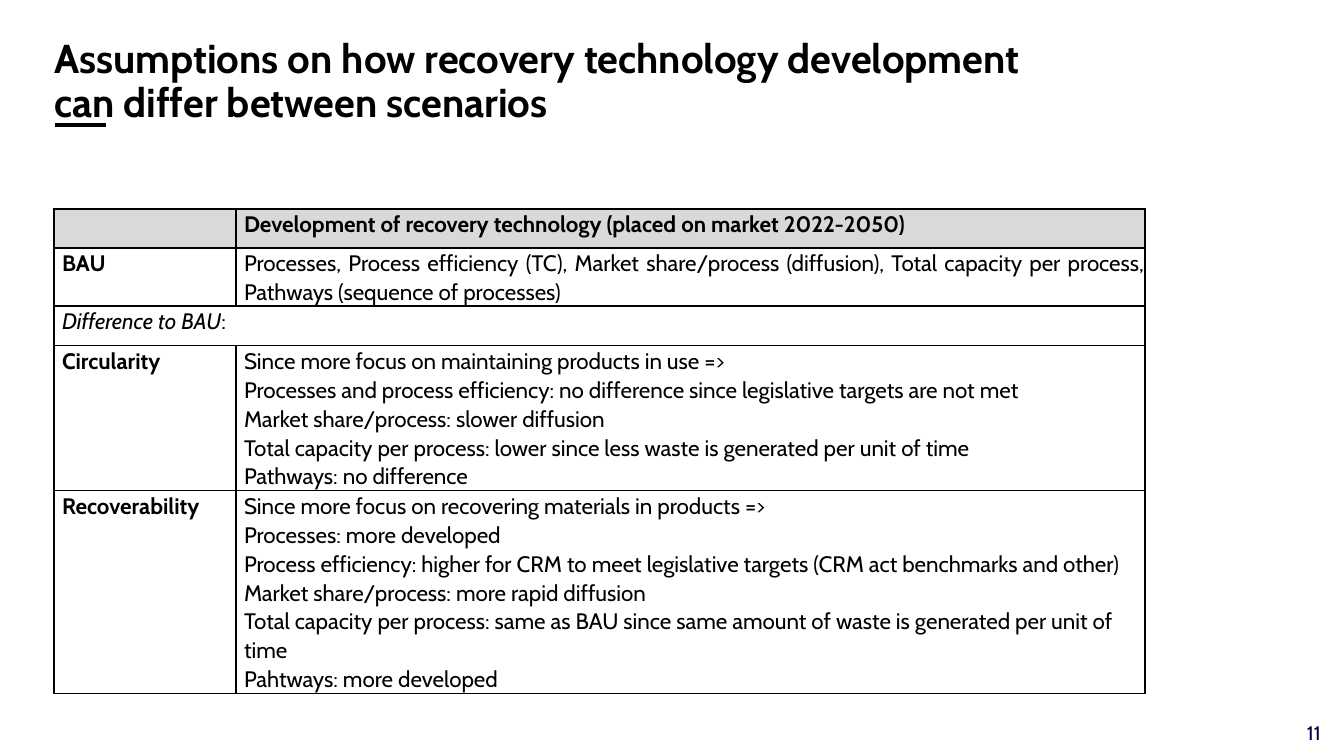
from lxml.etree import SubElement
from pptx import Presentation
from pptx.dml.color import RGBColor
from pptx.enum.shapes import MSO_CONNECTOR
from pptx.enum.text import MSO_ANCHOR, MSO_AUTO_SIZE, PP_ALIGN
from pptx.oxml.ns import qn
from pptx.util import Emu, Pt

EMU_PER_PX = 914400 / 100.8
FONT = "Cabin"
COLORS = {"ink": "000000", "header": "D9D9D9", "page": "000042"}
COLUMN_WIDTHS = [182, 909]
ROW_HEIGHTS = [39, 58, 40, 145, 202]
HEADING = "Development of recovery technology (placed on market 2022-2050)"
BAU = ("Processes, Process efficiency (TC), Market share/process (diffusion), "
       "Total capacity per process, Pathways (sequence of processes)")
CIRCULARITY = [
    "Since more focus on maintaining products in use =>",
    "Processes and process efficiency: no difference since legislative targets are not met",
    "Market share/process: slower diffusion",
    "Total capacity per process: lower since less waste is generated per unit of time",
    "Pathways: no difference",
]
RECOVERABILITY = [
    "Since more focus on recovering materials in products =>",
    "Processes: more developed",
    "Process efficiency: higher for CRM to meet legislative targets "
    "(CRM act benchmarks and other)",
    "Market share/process: more rapid diffusion",
    "Total capacity per process: same as BAU since same amount of waste "
    "is generated per unit of time",
    "Pahtways: more developed",
]


def px(length):
    """Turn pixels into EMU."""
    return Emu(round(length * EMU_PER_PX))


def color(name):
    """Look up a named colour."""
    return RGBColor.from_string(COLORS[name])


def style(paragraph, size, ink="ink", bold=False, align=PP_ALIGN.LEFT, spacing=1.0):
    """Format a whole paragraph."""
    paragraph.alignment = align
    paragraph.line_spacing = spacing
    font = paragraph.font
    font.name, font.size, font.bold = FONT, Pt(size), bold
    font.color.rgb = color(ink)


def clear_frame(frame):
    """Give a text frame no insets, wrapping and middle anchoring."""
    frame.margin_left = frame.margin_right = frame.margin_top = frame.margin_bottom = 0
    frame.word_wrap = True
    frame.auto_size = MSO_AUTO_SIZE.NONE
    frame.vertical_anchor = MSO_ANCHOR.MIDDLE


def add_title(slide, text):
    """Fill and place the title placeholder."""
    title = slide.shapes.title
    title.left, title.top, title.width, title.height = px(54), px(52), px(1030), px(61)
    clear_frame(title.text_frame)
    heading = title.text_frame.paragraphs[0]
    heading.text = text
    style(heading, 28.8, bold=True, spacing=0.9)


def add_accent(slide):
    """Draw the short rule under the title."""
    accent = slide.shapes.add_connector(MSO_CONNECTOR.STRAIGHT, px(55), px(125), px(106), px(125))
    accent.line.color.rgb = color("ink")
    accent.line.width = Pt(3)
    SubElement(accent._element.spPr, qn("a:effectLst"))


def add_page_number(slide, number):
    """Write the page number in the lower right corner."""
    page = slide.shapes.add_textbox(px(1264), px(721), px(57), px(24))
    clear_frame(page.text_frame)
    label = page.text_frame.paragraphs[0]
    label.text = number
    style(label, 14, ink="page", align=PP_ALIGN.RIGHT)


def frame_cell(cell, fill=None):
    """Set the insets, borders and fill of a cell."""
    cell.margin_left = cell.margin_right = cell.margin_top = cell.margin_bottom = 0
    properties = cell._tc.get_or_add_tcPr()
    for side in ("a:lnL", "a:lnR", "a:lnT", "a:lnB"):
        border = SubElement(properties, qn(side), w=str(Pt(1)))
        SubElement(SubElement(border, qn("a:solidFill")), qn("a:srgbClr"), val=COLORS["ink"])
    if fill:
        cell.fill.solid()
        cell.fill.fore_color.rgb = color(fill)
    else:
        cell.fill.background()


def write_cell(cell, text, bold=False, align=PP_ALIGN.JUSTIFY):
    """Write indented text into a cell and return its paragraph."""
    entry = cell.text_frame.paragraphs[0]
    entry.text = text
    entry._p.get_or_add_pPr().set("marL", str(px(8)))
    entry._p.get_or_add_pPr().set("indent", "0")
    style(entry, 16, bold=bold, align=align, spacing=1.07)
    return entry


def add_scenarios(slide):
    """Build the table of scenarios."""
    table = slide.shapes.add_table(len(ROW_HEIGHTS), len(COLUMN_WIDTHS), px(54), px(209),
                                   px(sum(COLUMN_WIDTHS)), px(sum(ROW_HEIGHTS))).table
    table.first_row = table.horz_banding = False
    for column, width in zip(table.columns, COLUMN_WIDTHS):
        column.width = px(width)
    for index, (row, height) in enumerate(zip(table.rows, ROW_HEIGHTS)):
        row.height = px(height)
        for cell in row.cells:
            frame_cell(cell, None if index else "header")

    write_cell(table.cell(0, 1), HEADING, bold=True)
    write_cell(table.cell(1, 1), BAU)
    for index, scenario in ((1, "BAU"), (3, "Circularity"), (4, "Recoverability")):
        write_cell(table.cell(index, 0), scenario, bold=True)
    for index, effects in ((3, CIRCULARITY), (4, RECOVERABILITY)):
        write_cell(table.cell(index, 1), "\n".join(effects), align=PP_ALIGN.LEFT)

    table.cell(2, 0).merge(table.cell(2, 1))
    difference = write_cell(table.cell(2, 0), "Difference to BAU")
    difference.runs[0].font.italic = True
    difference.add_run().text = ":"


def main():
    """Build and save the slide."""
    deck = Presentation()
    deck.slide_width, deck.slide_height = px(1344), px(756)
    slide = deck.slides.add_slide(deck.slide_layouts[5])
    add_accent(slide)
    add_page_number(slide, "11")
    add_title(slide, "Assumptions on how recovery technology development "
                     "can differ between scenarios")
    add_scenarios(slide)
    deck.save("out.pptx")


if __name__ == "__main__":
    main()
